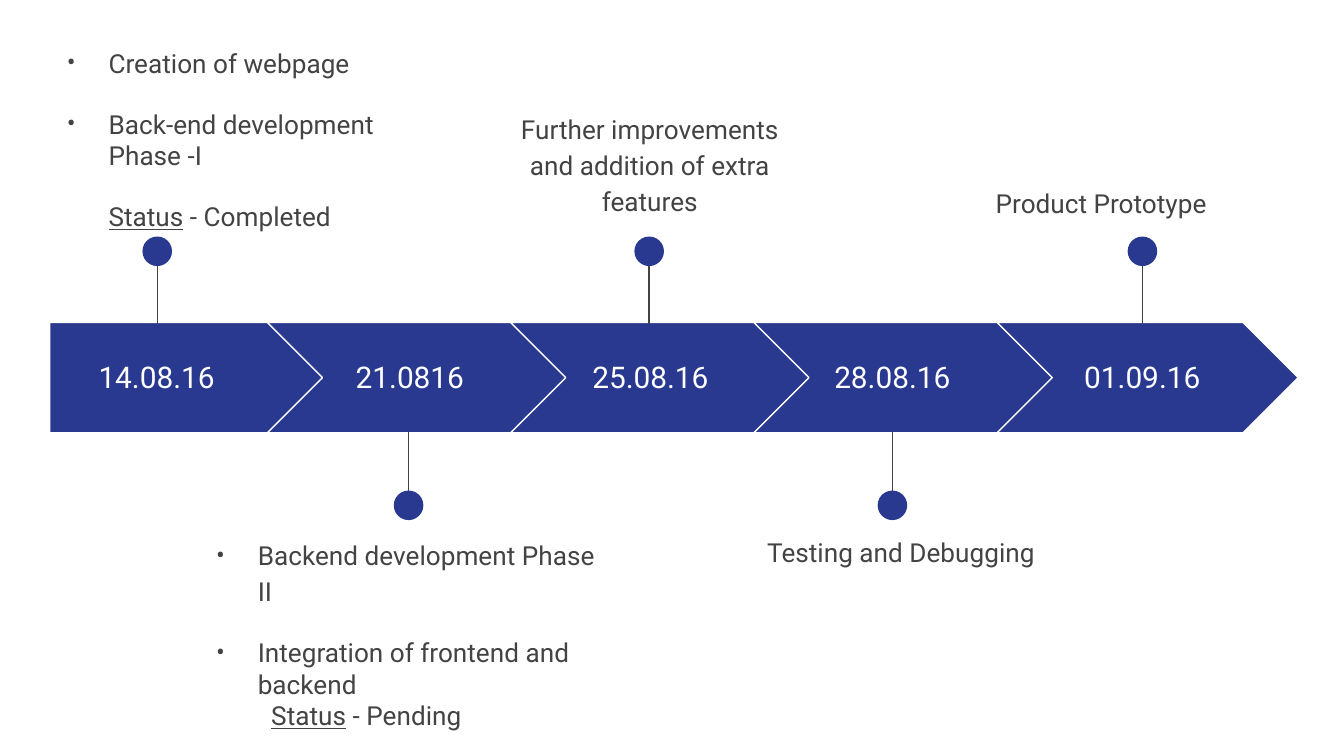
from dataclasses import dataclass, field

from lxml.etree import SubElement
from pptx import Presentation
from pptx.dml.color import RGBColor
from pptx.enum.shapes import MSO_CONNECTOR as Connector
from pptx.enum.shapes import MSO_SHAPE as Shape
from pptx.enum.text import MSO_ANCHOR as Anchor
from pptx.enum.text import PP_ALIGN as Align
from pptx.oxml.ns import qn
from pptx.util import Inches, Pt

BLUE = RGBColor(0x2A, 0x39, 0x90)
GREY = RGBColor(0x43, 0x43, 0x43)
WHITE = RGBColor(0xFF, 0xFF, 0xFF)
FONT = "Roboto"

BAND_TOP, BAND_HEIGHT = 2.4, 0.82
FIRST_LEFT, FIRST_WIDTH = 0.37, 2.05
CHEVRON_LEFT, CHEVRON_WIDTH, CHEVRON_STEP = 1.99, 2.24, 1.81
DATE_TOP, DATE_HEIGHT = 2.55, 0.51
DOT = 0.22


@dataclass
class Line:
    text: str
    status: str = ""
    bullet: bool = False
    indent: float = 0
    align: Align = Align.LEFT
    spacing: float = 1.15
    after: int = 16


@dataclass
class Milestone:
    date: str
    date_left: float
    date_width: float
    pin_x: float
    above: bool
    note_box: tuple
    notes: list = field(default_factory=list)


MILESTONES = [
    Milestone("14.08.16", 0.37, 1.59, 1.17, True, (0.21, 0.25, 3, 1.8), [
        Line("Creation of webpage", bullet=True, spacing=1),
        Line("Back-end development Phase -I", bullet=True, spacing=1),
        Line(" - Completed", status="Status", indent=0.5, spacing=1),
    ]),
    Milestone("21.0816", 2.33, 1.44, 3.04, False, (1.32, 3.88, 3.33, 1.43), [
        Line("Backend development Phase II", bullet=True),
        Line("Integration of frontend and backend", bullet=True, spacing=1, after=0),
        Line(" - Pending", status="Status", indent=0.6, spacing=1),
    ]),
    Milestone("25.08.16", 4.12, 1.44, 4.83, True, (3.61, 0.71, 2.45, 0.99), [
        Line("Further improvements and addition of extra features", align=Align.CENTER),
    ]),
    Milestone("28.08.16", 5.92, 1.44, 6.64, False, (5.61, 3.86, 2.45, 0.99), [
        Line("Testing and Debugging"),
    ]),
    Milestone("01.09.16", 7.78, 1.44, 8.5, True, (7.31, 1.26, 2.45, 0.99), [
        Line("Product Prototype"),
    ]),
]


def add_preset(slide, kind, left, top, width, height, outlined=False):
    preset = slide.shapes.add_shape(
        kind, Inches(left), Inches(top), Inches(width), Inches(height))
    preset.shadow.inherit = False
    preset.fill.solid()
    preset.fill.fore_color.rgb = BLUE
    if outlined:
        preset.line.color.rgb = WHITE
        preset.line.width = Pt(0.75)
    else:
        preset.line.fill.background()


def add_frame(slide, left, top, width, height, anchor=Anchor.TOP):
    frame = slide.shapes.add_textbox(
        Inches(left), Inches(top), Inches(width), Inches(height)).text_frame
    frame.word_wrap = True
    frame.vertical_anchor = anchor
    frame.margin_left = frame.margin_right = Inches(0.1)
    frame.margin_top = frame.margin_bottom = Inches(0.1)
    return frame


def add_run(paragraph, text, size, color, underline=False):
    run = paragraph.add_run()
    run.text = text
    run.font.name = FONT
    run.font.size = Pt(size)
    run.font.color.rgb = color
    if underline:
        run.font.underline = True


def set_indent(paragraph, left, first=0):
    properties = paragraph._p.get_or_add_pPr()
    properties.set("marL", str(Inches(left)))
    properties.set("indent", str(Inches(first)))
    return properties


def set_bullet(paragraph):
    properties = set_indent(paragraph, 0.5, -0.31)
    color = SubElement(properties, qn("a:buClr"))
    SubElement(color, qn("a:srgbClr"), val=str(GREY))
    SubElement(properties, qn("a:buFont"), typeface=FONT)
    SubElement(properties, qn("a:buChar"), char="•")


def add_date(slide, milestone):
    frame = add_frame(slide, milestone.date_left, DATE_TOP,
                      milestone.date_width, DATE_HEIGHT, Anchor.MIDDLE)
    paragraph = frame.paragraphs[0]
    paragraph.alignment = Align.CENTER
    add_run(paragraph, milestone.date, 16, WHITE)


def add_pin(slide, x, above):
    start, end, dot_top = (1.8, 2.41, 1.76) if above else (3.82, 3.21, 3.65)
    stem = slide.shapes.add_connector(
        Connector.STRAIGHT, Inches(x), Inches(start), Inches(x), Inches(end))
    stem.line.color.rgb = GREY
    stem.line.width = Pt(0.75)
    SubElement(stem._element.spPr, qn("a:effectLst"))
    add_preset(slide, Shape.OVAL, x - DOT / 2, dot_top, DOT, DOT)


def add_notes(slide, box, notes):
    frame = add_frame(slide, *box)
    for index, note in enumerate(notes):
        paragraph = frame.add_paragraph() if index else frame.paragraphs[0]
        if note.bullet:
            set_bullet(paragraph)
        else:
            set_indent(paragraph, note.indent)
        paragraph.alignment = note.align
        paragraph.line_spacing = float(note.spacing)
        paragraph.space_after = Pt(note.after)
        if note.status:
            add_run(paragraph, note.status, 14, GREY, underline=True)
        add_run(paragraph, note.text, 14, GREY)


def add_band_step(slide, index):
    if index == 0:
        kind, left, width = Shape.PENTAGON, FIRST_LEFT, FIRST_WIDTH
    else:
        kind, width = Shape.CHEVRON, CHEVRON_WIDTH
        left = CHEVRON_LEFT + (index - 1) * CHEVRON_STEP
    add_preset(slide, kind, left, BAND_TOP, width, BAND_HEIGHT, outlined=True)


def main():
    deck = Presentation()
    deck.slide_width = Inches(10)
    deck.slide_height = Inches(10 * 9 / 16)
    slide = deck.slides.add_slide(deck.slide_layouts[6])
    for index, milestone in enumerate(MILESTONES):
        add_band_step(slide, index)
        add_date(slide, milestone)
        add_pin(slide, milestone.pin_x, milestone.above)
        add_notes(slide, milestone.note_box, milestone.notes)
    deck.save("out.pptx")


if __name__ == "__main__":
    main()
